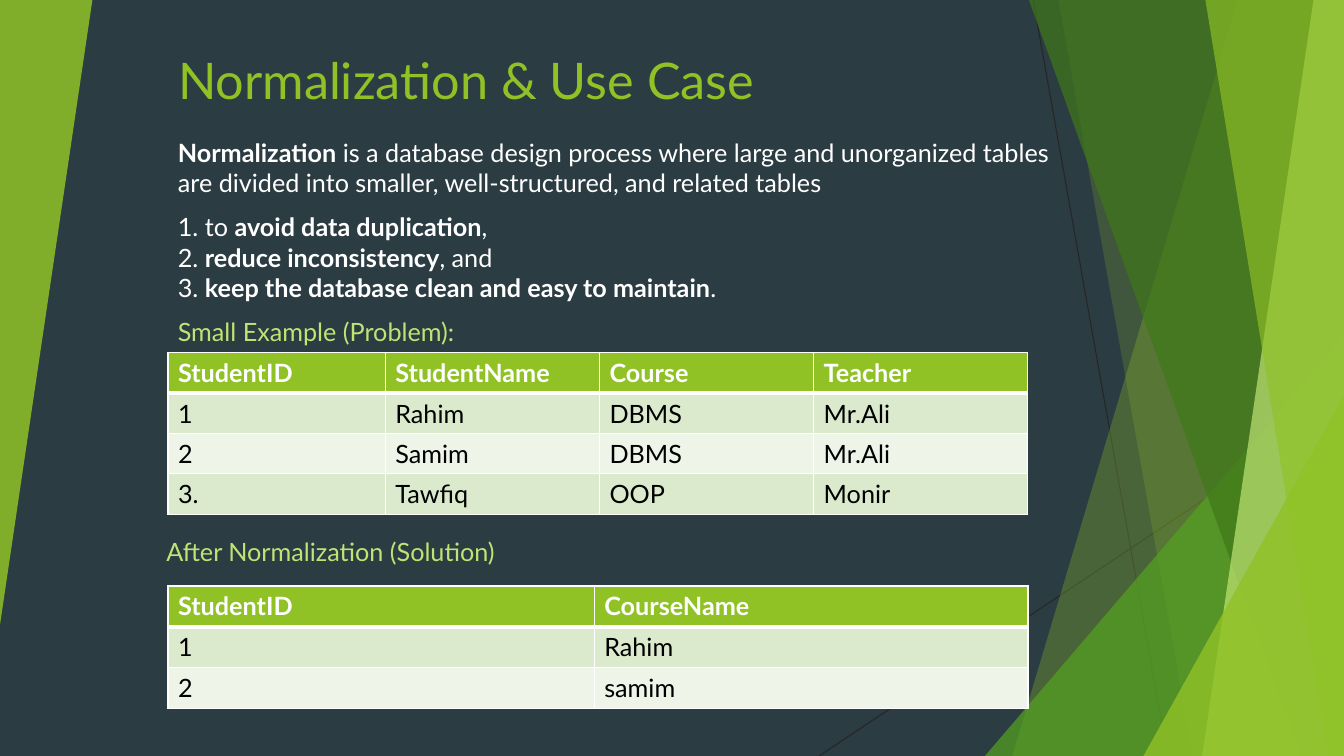
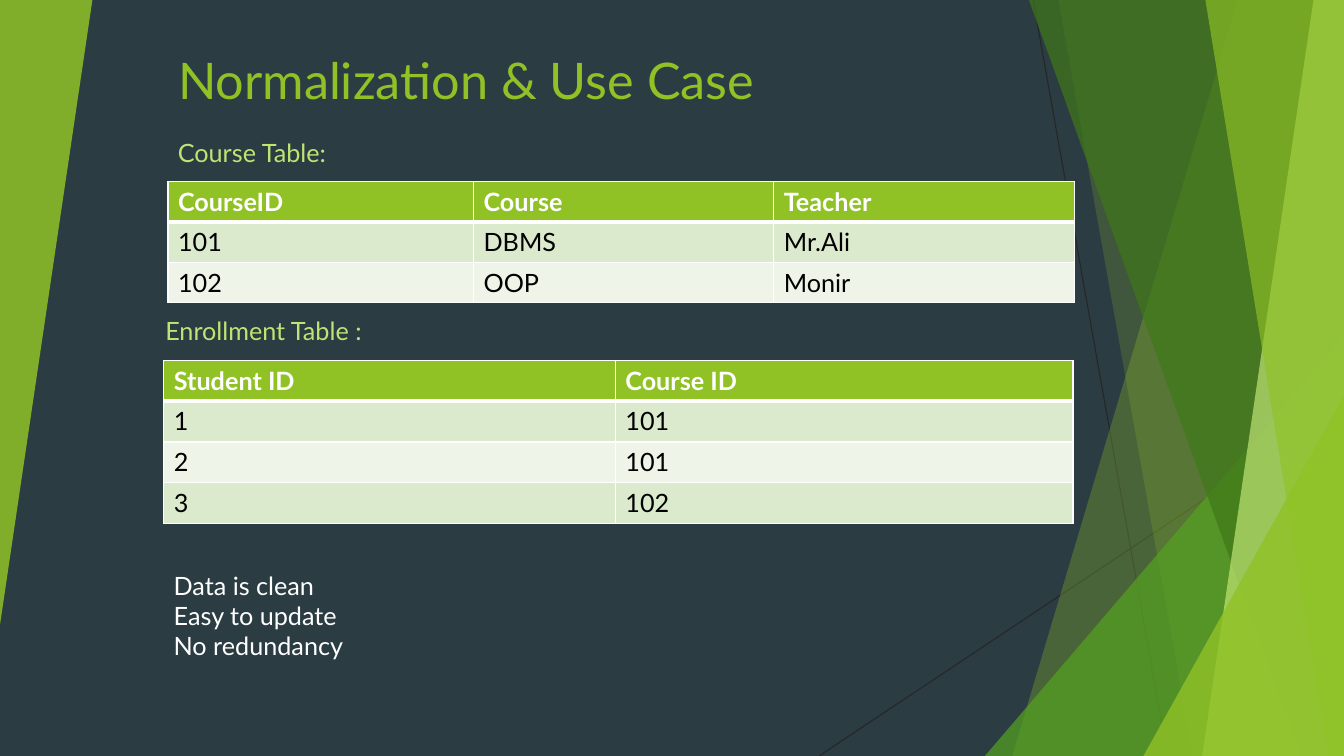
from lxml.etree import SubElement
from pptx import Presentation
from pptx.dml.color import RGBColor
from pptx.enum.shapes import MSO_CONNECTOR, MSO_SHAPE
from pptx.enum.text import MSO_ANCHOR, MSO_AUTO_SIZE, PP_ALIGN
from pptx.oxml.ns import qn
from pptx.util import Emu, Pt

PX = 9525  # EMU in one px
WIDTH, HEIGHT = 1280, 720
FONT = "Lato"

SLATE = RGBColor(0x2C, 0x3C, 0x43)
LIME = RGBColor(0x90, 0xC2, 0x26)
PALE_LIME = RGBColor(0xC0, 0xE4, 0x74)
LEAF = RGBColor(0x54, 0xA0, 0x21)
FOREST = RGBColor(0x3F, 0x78, 0x19)
CHARCOAL = RGBColor(0x26, 0x26, 0x26)
WHITE = RGBColor(0xFF, 0xFF, 0xFF)
BLACK = RGBColor(0, 0, 0)
ROW_FILLS = (RGBColor(0xDB, 0xE9, 0xCD), RGBColor(0xEE, 0xF4, 0xE8))

TITLE = "Normalization & Use Case"
TITLE_BOX = (160, 36, 941, 73)


def px(*lengths):
    return [Emu(length * PX) for length in lengths]


def write(frame, text, color=WHITE, size=18, bold=False, before=0):
    """Add a paragraph; ** switches bold on and off, a newline breaks the line."""
    para = frame.add_paragraph() if frame.text else frame.paragraphs[0]
    para.alignment = PP_ALIGN.LEFT
    para.space_before = Pt(before)
    for part, words in enumerate(text.split("**")):
        for number, line in enumerate(words.split("\n")):
            if number:
                para.add_line_break()
            if not line:
                continue
            span = para.add_run()
            span.text = line
            span.font.name = FONT
            span.font.size = Pt(size)
            span.font.bold = bold or part % 2 == 1
            span.font.color.rgb = color


def add_text(page, box, *texts, wrap=True, **text_format):
    frame = page.shapes.add_textbox(*px(*box)).text_frame
    frame.word_wrap = wrap
    for text in texts:
        write(frame, text, **text_format)
    return frame


# Backdrop
def paint(shape, color, opacity):
    shape.shadow.inherit = False
    shape.line.fill.background()
    shape.fill.solid()
    shape.fill.fore_color.rgb = color
    fill_color = next(shape.element.iter(qn("a:srgbClr")))
    SubElement(fill_color, qn("a:alpha"), val=str(opacity * 1000))


def add_ray(shapes, start, end):
    ray = shapes.add_connector(MSO_CONNECTOR.STRAIGHT, *px(*start, *end))
    ray.line.color.rgb = CHARCOAL
    ray.line.width = Pt(0.75)
    SubElement(ray.element.spPr, qn("a:effectLst"))


def add_band(shapes, top, bottom, color, opacity):
    """A full-height band from a slanted left edge to the right slide edge."""
    builder = shapes.build_freeform(top, 0, scale=PX)
    builder.add_line_segments([(WIDTH, 0), (WIDTH, HEIGHT), (bottom, HEIGHT)])
    paint(builder.convert_to_shape(), color, opacity)


def add_wedge(shapes, box, color, opacity, rotation=0):
    wedge = shapes.add_shape(MSO_SHAPE.ISOSCELES_TRIANGLE, *px(*box))
    wedge.adjustments[0] = 1.0
    wedge.rotation = rotation
    paint(wedge, color, opacity)


def add_backdrop(page):
    group = page.shapes.add_group_shape()
    shapes = group.shapes
    add_ray(shapes, (984, 0), (1112, HEIGHT))
    add_ray(shapes, (WIDTH, 387), (780, HEIGHT))
    add_band(shapes, 1179, 964, LIME, 30)
    add_band(shapes, 1008, 1136, LIME, 20)
    add_wedge(shapes, (938, 320, 342, 400), LEAF, 72)
    add_band(shapes, 980, 1239, FOREST, 70)
    add_band(shapes, 1251, 1145, PALE_LIME, 70)
    add_band(shapes, 1148, 1265, LIME, 65)
    add_wedge(shapes, (1089, 377, 191, 343), LIME, 80)
    add_wedge(shapes, (0, 0, 88, 595), LIME, 85, rotation=180)
    # Behind the title
    group.element.getparent().insert(2, group.element)


# Tables
def add_borders(cell, top, bottom):
    properties = cell._tc.get_or_add_tcPr()
    for side, width in (("L", 1), ("R", 1), ("T", top), ("B", bottom)):
        line = SubElement(properties, qn(f"a:ln{side}"), w=str(Pt(width)))
        fill = SubElement(line, qn("a:solidFill"))
        SubElement(fill, qn("a:srgbClr"), val=str(WHITE))


def add_grid(page, left, top, widths, row_height, rows):
    box = px(left, top, sum(widths), row_height * len(rows))
    table = page.shapes.add_table(len(rows), len(widths), *box).table
    for column, width in zip(table.columns, px(*widths)):
        column.width = width
    for r, values in enumerate(rows):
        header = r == 0
        for c, value in enumerate(values):
            cell = table.cell(r, c)
            add_borders(cell, top=3 if r == 1 else 1, bottom=3 if header else 1)
            cell.fill.solid()
            cell.fill.fore_color.rgb = LIME if header else ROW_FILLS[(r - 1) % 2]
            write(cell.text_frame, value, color=WHITE if header else BLACK, bold=header)


# Slides
def add_page(deck):
    page = deck.slides.add_slide(deck.slide_layouts[5])
    add_backdrop(page)
    title = page.shapes.title
    title.left, title.top, title.width, title.height = px(*TITLE_BOX)
    frame = title.text_frame
    frame.auto_size = MSO_AUTO_SIZE.NONE
    frame.vertical_anchor = MSO_ANCHOR.BOTTOM
    write(frame, TITLE, color=LIME, size=36)
    return page


def add_problem_page(deck):
    page = add_page(deck)
    frame = add_text(
        page, (160, 126, 863, 207),
        "**Normalization** is a database design process where large and unorganized "
        "tables are divided into smaller, well-structured, and related tables",
        "1. to **avoid data duplication**,\n2. **reduce inconsistency**, and\n"
        "3. **keep the database clean and easy to maintain**.",
        before=10,
    )
    write(frame, "Small Example (Problem):", color=PALE_LIME, before=10)
    add_grid(page, 160, 336, (207, 204, 204, 204), 38, [
        ("StudentID", "StudentName", "Course", "Teacher"),
        ("1", "Rahim", "DBMS", "Mr.Ali"),
        ("2", "Samim", "DBMS", "Mr.Ali"),
        ("3.", "Tawfiq", "OOP", "Monir"),
    ])
    add_text(page, (149, 506, 802, 38), "After Normalization (Solution)", color=PALE_LIME)
    add_grid(page, 160, 558, (406, 413), 39, [
        ("StudentID", "CourseName"),
        ("1", "Rahim"),
        ("2", "samim"),
    ])


def add_solution_page(deck):
    page = add_page(deck)
    add_text(page, (160, 126, 863, 38), "Course Table:", color=PALE_LIME, before=10)
    add_grid(page, 160, 173, (291, 286, 286), 38, [
        ("CourseID", "Course", "Teacher"),
        ("101", "DBMS", "Mr.Ali"),
        ("102", "OOP", "Monir"),
    ])
    add_text(page, (148, 296, 802, 38), "Enrollment Table :", color=PALE_LIME)
    add_grid(page, 156, 343, (430, 436), 39, [
        ("Student ID", "Course ID"),
        ("1", "101"),
        ("2", "101"),
        ("3", "102"),
    ])
    add_text(page, (156, 538, 187, 97),
             "Data is clean\nEasy to update\nNo redundancy", wrap=False)


def main():
    deck = Presentation()
    deck.slide_width, deck.slide_height = px(WIDTH, HEIGHT)
    background = deck.slide_master.background.fill
    background.solid()
    background.fore_color.rgb = SLATE
    add_problem_page(deck)
    add_solution_page(deck)
    deck.save("out.pptx")


if __name__ == "__main__":
    main()
